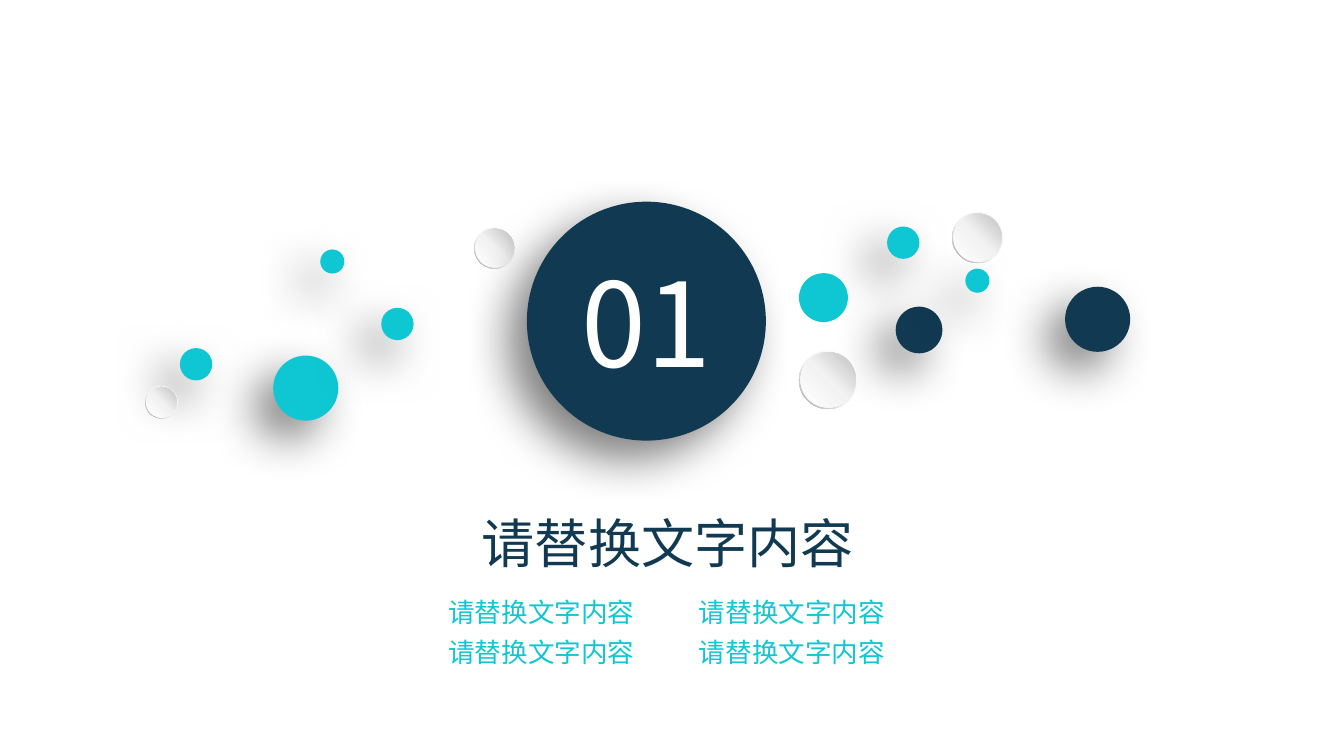
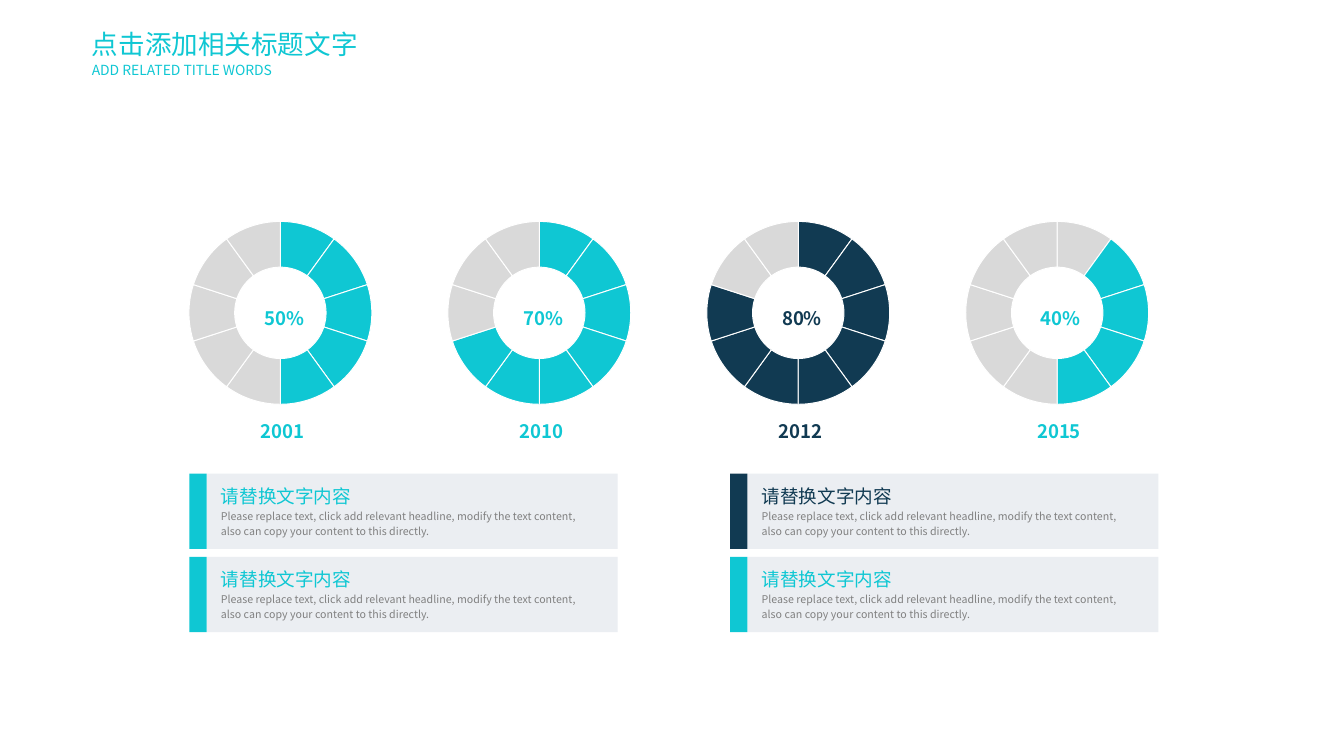
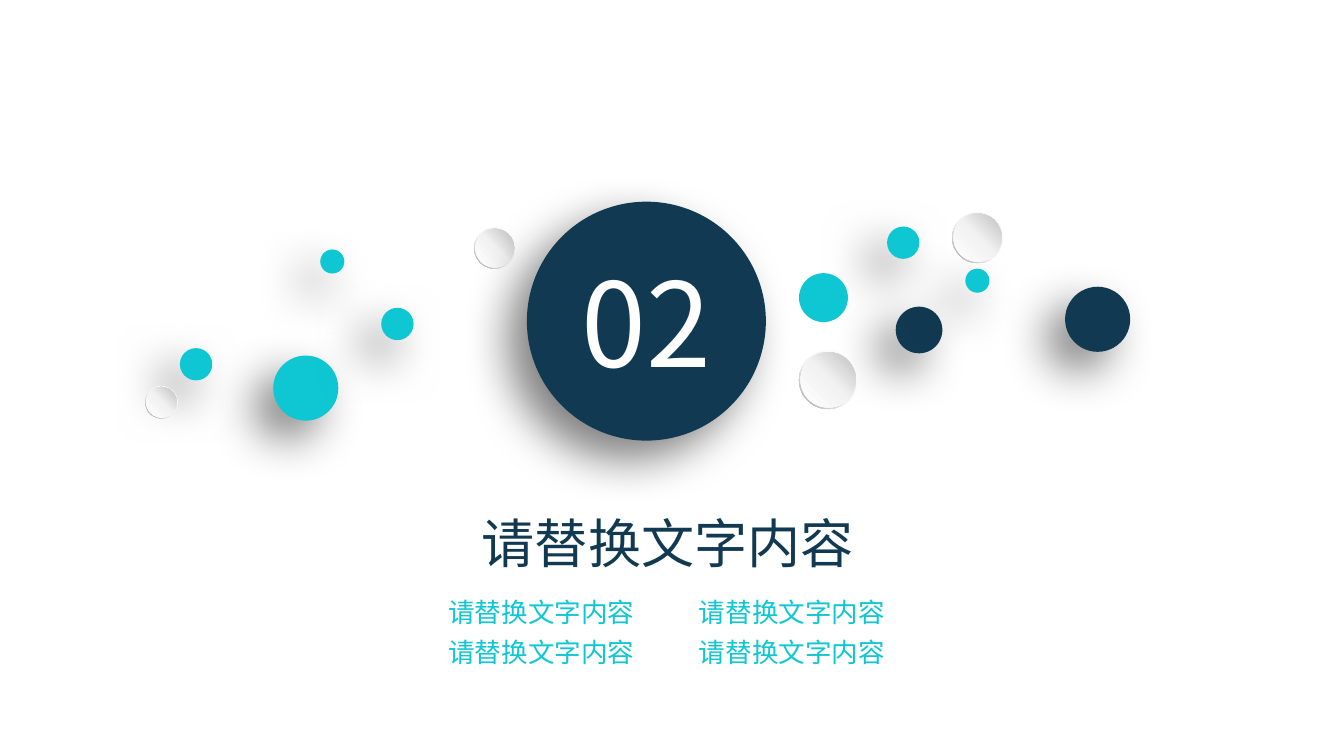
from copy import deepcopy

from lxml import etree
from pptx import Presentation
from pptx import util as u
from pptx.chart import data as chart_data
from pptx.dml.color import RGBColor
from pptx.enum import chart as chart_enum
from pptx.enum import shapes, text
from pptx.oxml import parse_xml
from pptx.oxml.ns import nsdecls, qn

TURQUOISE = RGBColor(0x0F, 0xC7, 0xD3)
NAVY = RGBColor(0x11, 0x3A, 0x52)
WHITE = RGBColor(0xFF, 0xFF, 0xFF)
BLACK = RGBColor(0, 0, 0)
PALE = RGBColor(0xEB, 0xEE, 0xF2)
SILVER = RGBColor(0xD9, 0xD9, 0xD9)
GREY = RGBColor(0x80, 0x80, 0x80)
MIST = RGBColor(0xF2, 0xF2, 0xF2)
RIM_DARK = RGBColor(0xA6, 0xA6, 0xA6)
FACE_DARK = RGBColor(0xBF, 0xBF, 0xBF)

FONT = "Noto Sans CJK SC"
FILLER = "请替换文字内容"
BLURB = ("Please replace text, click add relevant headline, modify the text content, "
         "also can copy your content to this directly.")

TWO_CONTENT, TITLE_ONLY = 3, 5
FACE_SCALE = 0.95

# left, top, diameter in cm
SHADED_DISCS = [
    (7.26, 9.45, 1.73, TURQUOISE), (28.3, 7.62, 1.73, NAVY),
    (10.13, 8.18, 0.86, TURQUOISE), (4.78, 9.25, 0.86, TURQUOISE),
    (23.57, 6.02, 0.86, TURQUOISE), (8.51, 6.63, 0.64, TURQUOISE),
    (23.8, 8.15, 1.24, NAVY), (25.65, 7.14, 0.64, TURQUOISE),
]
PEARLS = [(21.23, 9.32, 1.55), (12.6, 6.05, 1.09), (25.3, 5.64, 1.35), (3.86, 10.26, 0.86)]

# year, label, colour, first and end of the coloured slices
RINGS = [
    ("2001", "50%", TURQUOISE, 0, 5), ("2010", "70%", TURQUOISE, 0, 7),
    ("2012", "80%", NAVY, 0, 8), ("2015", "40%", TURQUOISE, 1, 5),
]


def write(frame, words, size, color, bold=False, align=text.PP_ALIGN.LEFT, spacing=1.2, before=0):
    """Append one paragraph to the frame, reusing its empty first one."""
    para = frame.paragraphs[0]
    if para.runs:
        para = frame.add_paragraph()
    para.alignment = align
    para.line_spacing = spacing
    para.space_before = u.Pt(before)
    span = para.add_run()
    span.text = words
    span.font.size = u.Pt(size)
    span.font.bold = bold
    span.font.color.rgb = color
    span.font.name = FONT
    etree.SubElement(span._r.get_or_add_rPr(), qn("a:ea")).set("typeface", FONT)
    return para


def fit_frame(frame, inset=True, wrap=True, anchor=text.MSO_ANCHOR.TOP):
    frame.auto_size = text.MSO_AUTO_SIZE.SHAPE_TO_FIT_TEXT
    frame.word_wrap = wrap
    frame.vertical_anchor = anchor
    if not inset:
        frame.margin_left = frame.margin_right = frame.margin_top = frame.margin_bottom = 0
    return frame


def shade(shape, end_color, middle, angle):
    """Fill with a white to mist to end_color gradient."""
    shape.fill.gradient()
    shape.fill.gradient_angle = angle
    stops = shape._element.spPr.find(".//" + qn("a:gsLst"))
    stops.insert(1, deepcopy(stops[0]))
    looks = [(0, WHITE), (middle, MIST), (1, end_color)]
    for stop, (position, color) in zip(shape.fill.gradient_stops, looks):
        stop.position = position
        stop.color.rgb = color


def cast_shadow(shape):
    effects = shape._element.spPr.find(qn("a:effectLst"))
    effects.append(parse_xml(
        f'<a:outerShdw {nsdecls("a")} blurRad="{u.Pt(35)}" dist="{u.Pt(20)}" dir="8100000" '
        'algn="tr" rotWithShape="0"><a:srgbClr val="000000"><a:alpha val="50000"/>'
        '</a:srgbClr></a:outerShdw>'))


class Deck:
    def __init__(self):
        self.file = Presentation()
        self.file.slide_width, self.file.slide_height = u.Cm(35.71), u.Cm(20.09)
        self.page = None

    def add_page(self, layout):
        self.page = self.file.slides.add_slide(self.file.slide_layouts[layout])

    def shape(self, kind, left, top, width, height, color=None, parent=None):
        """Add a borderless shape to the page or to a group."""
        item = (parent or self.page).shapes.add_shape(
            kind, u.Cm(left), u.Cm(top), u.Cm(width), u.Cm(height))
        item.shadow.inherit = False
        item.line.fill.background()
        if color is not None:
            item.fill.solid()
            item.fill.fore_color.rgb = color
        return item

    def text_box(self, left, top, width, height, **frame_format):
        box = self.page.shapes.add_textbox(u.Cm(left), u.Cm(top), u.Cm(width), u.Cm(height))
        return fit_frame(box.text_frame, **frame_format)

    def placeholder(self, index, left, top, width, height, **frame_format):
        box = self.page.placeholders[index]
        box.left, box.top, box.width, box.height = map(u.Cm, (left, top, width, height))
        return fit_frame(box.text_frame, **frame_format)

    def disc(self, left, top, size, color=None, ring=False):
        """Add a rim and a concentric face; return both."""
        group = self.page.shapes.add_group_shape()
        kind = shapes.MSO_SHAPE.DONUT if ring else shapes.MSO_SHAPE.OVAL
        rim = self.shape(kind, left, top, size, size, color, group)
        if ring:
            rim.adjustments[0] = 0.05
        inset = size * (1 - FACE_SCALE) / 2
        face = self.shape(shapes.MSO_SHAPE.OVAL, left + inset, top + inset,
                          size * FACE_SCALE, size * FACE_SCALE, color, group)
        return rim, face

    def shaded_disc(self, *place):
        rim, face = self.disc(*place)
        cast_shadow(rim)
        return face

    def pearl(self, *place):
        rim, face = self.disc(*place, ring=True)
        shade(rim, RIM_DARK, 0.55, 225)
        shade(face, FACE_DARK, 0.51, 45)

    def item_column(self, index, left):
        frame = self.placeholder(index, left, 15.67, 5.6, 2.2, inset=False)
        for before in (0, 1.5):
            props = write(frame, FILLER, 20, TURQUOISE, before=before)._p.get_or_add_pPr()
            props.set("marL", "0")
            props.set("indent", "0")
            etree.SubElement(props, qn("a:buNone"))

    def section_page(self, number):
        self.add_page(TWO_CONTENT)
        write(self.placeholder(0, 12.55, 13.11, 10.49, 2.13, wrap=False), FILLER, 40, NAVY)
        self.item_column(1, 11.91)
        self.item_column(2, 18.57)
        for place in SHADED_DISCS:
            self.shaded_disc(*place)
        self.disc(21.23, 7.26, 1.3, TURQUOISE, ring=True)
        for place in PEARLS:
            self.pearl(*place)
        frame = self.shaded_disc(14, 5.36, 6.35, NAVY).text_frame
        frame.vertical_anchor = text.MSO_ANCHOR.MIDDLE
        write(frame, number, 88, WHITE, align=text.PP_ALIGN.CENTER, spacing=1.0)

    def ring_chart(self, left, year, label, color, first, end):
        values = chart_data.CategoryChartData()
        values.categories = [str(n) for n in range(1, 11)]
        values.add_series("Series 1", [10] * 10)
        chart = self.page.shapes.add_chart(
            chart_enum.XL_CHART_TYPE.DOUGHNUT, u.Cm(left), u.Cm(5.38),
            u.Cm(5.56), u.Cm(5.87), values).chart
        chart.has_legend = chart.has_title = False
        chart.font.name, chart.font.size = FONT, u.Pt(18)
        chart.font.color.rgb = BLACK
        plot = chart.plots[0]
        plot.vary_by_categories = False
        plot._element.find(qn("c:holeSize")).set("val", "80")
        for n in range(10):
            look = plot.series[0].points[n].format
            look.fill.solid()
            look.fill.fore_color.rgb = color if first <= n < end else SILVER
            look.line.color.rgb = WHITE
            look.line.width = u.Pt(0.75)
        label_format = dict(size=14, color=color, bold=True, align=text.PP_ALIGN.CENTER)
        share = self.text_box(left + 1.8, 7.95, 2.16, 0.91, anchor=text.MSO_ANCHOR.MIDDLE)
        write(share, label, **label_format)
        caption = self.text_box(left + 2.22, 11.05, 1.22, 0.66, inset=False, wrap=False)
        write(caption, year, **label_format)

    def card(self, left, top, color):
        group = self.page.shapes.add_group_shape()
        self.shape(shapes.MSO_SHAPE.RECTANGLE, left + 0.46, top, 10.92, 2, PALE, group)
        self.shape(shapes.MSO_SHAPE.RECTANGLE, left, top, 0.46, 2, color, group)
        frame = self.text_box(left + 0.84, top + 0.17, 9.9, 1.55, inset=False)
        write(frame, FILLER, 14, color)
        write(frame, BLURB, 8, GREY)

    def chart_page(self):
        self.add_page(TITLE_ONLY)
        title = self.placeholder(0, 2.44, 0.74, 7.11, 0.86, inset=False, wrap=False)
        write(title, "点击添加相关标题文字", 20, TURQUOISE, spacing=1.0)
        subtitle = self.text_box(2.44, 1.63, 5.28, 0.46, inset=False, wrap=False)
        write(subtitle, "ADD RELATED TITLE WORDS", 10.5, TURQUOISE, spacing=1.0)
        for n, ring in enumerate(RINGS):
            self.ring_chart(4.67 + 6.88 * n, *ring)
        for left, top_color in ((5.03, TURQUOISE), (19.4, NAVY)):
            for row, color in enumerate((top_color, TURQUOISE)):
                self.card(left, 12.59 + 2.21 * row, color)


def main():
    deck = Deck()
    deck.section_page("01")
    deck.chart_page()
    deck.section_page("02")
    deck.file.save("out.pptx")


if __name__ == "__main__":
    main()
